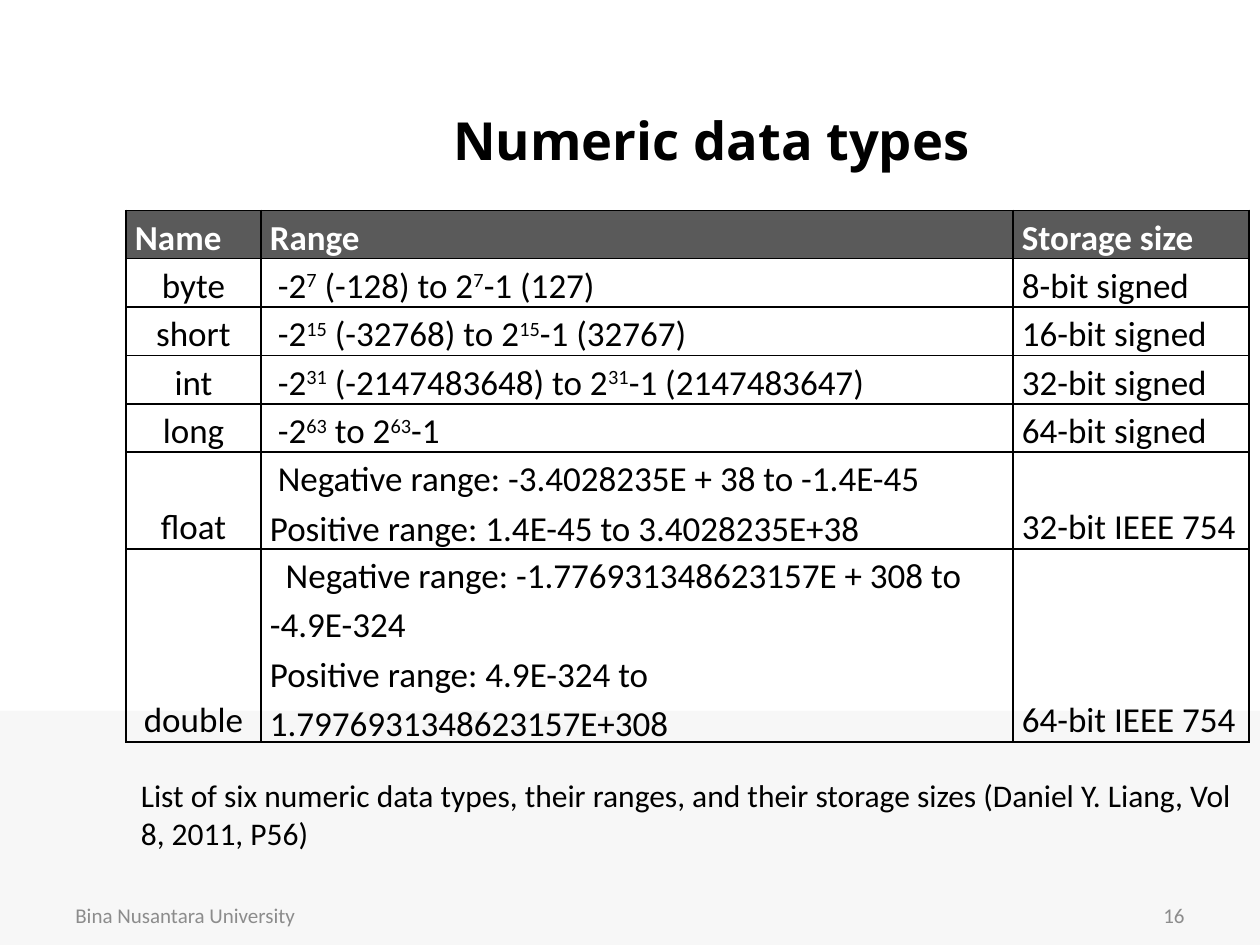
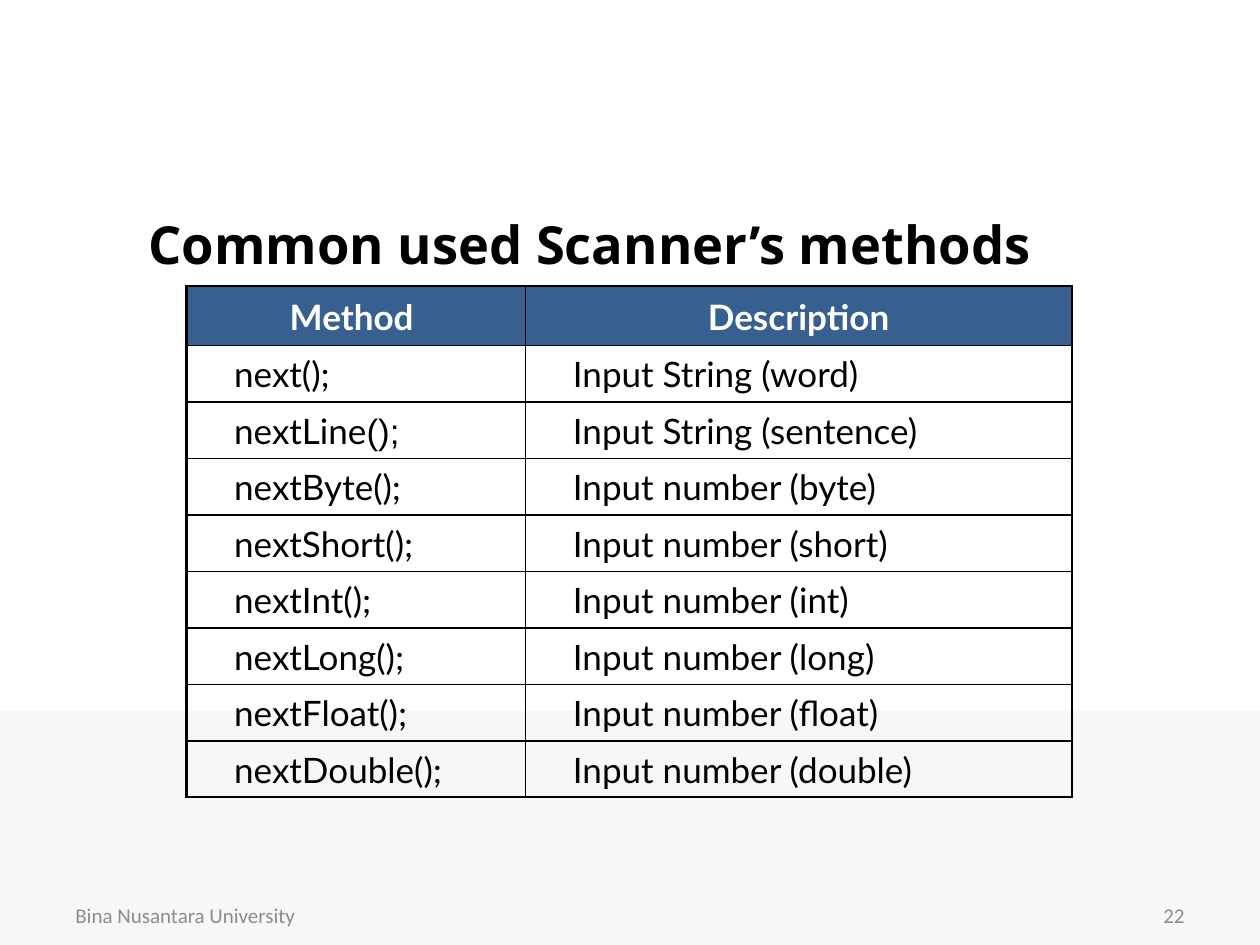
from dataclasses import dataclass

import lxml.etree
import pptx
import pptx.dml.color
import pptx.enum.shapes
import pptx.enum.text
import pptx.oxml.ns
import pptx.util

Cm = pptx.util.Cm
Pt = pptx.util.Pt
Align = pptx.enum.text.PP_ALIGN
Anchor = pptx.enum.text.MSO_ANCHOR
qn = pptx.oxml.ns.qn


@dataclass(frozen=True)
class Theme:
    black: str = "000000"
    white: str = "FFFFFF"
    band: str = "F7F7F7"
    grey: str = "8C8C8C"
    slate: str = "5A5A5A"
    blue: str = "376091"
    head: str = "Open Sans"
    body: str = "Calibri"
    code: str = "Lato"
    title: int = 30
    cell: int = 20
    note: int = 18
    foot: int = 12


THEME = Theme()


def paint(fill, color):
    fill.solid()
    fill.fore_color.rgb = pptx.dml.color.RGBColor.from_string(color)


def write(frame, text, size=THEME.cell, font=THEME.body, color=THEME.black,
          bold=False, align=Align.LEFT, space=1.0, lead=0, alt=None):
    """Pieces between carets are raised, or set in the alt font if one is given."""
    for row, line in enumerate(text.split("\n")):
        para = frame.paragraphs[0] if row == 0 else frame.add_paragraph()
        para.alignment = align
        para.line_spacing = space
        if lead and row == 0:
            para._p.get_or_add_pPr().set("indent", str(Cm(lead)))
        for spot, piece in enumerate(line.split("^")):
            if not piece:
                continue
            run = para.add_run()
            run.text = piece
            marked = spot % 2 == 1
            run.font.size = Pt(size)
            run.font.name = alt if marked and alt else font
            run.font.bold = bold
            run.font.color.rgb = pptx.dml.color.RGBColor.from_string(color)
            if marked and not alt:
                run._r.get_or_add_rPr().set("baseline", "30000")


def rule(cell, widths):
    props = cell._tc.get_or_add_tcPr()
    for side, width in zip("LRTB", widths):
        line = lxml.etree.SubElement(props, qn(f"a:ln{side}"), w=str(Pt(width)))
        fill = lxml.etree.SubElement(line, qn("a:solidFill"))
        lxml.etree.SubElement(fill, qn("a:srgbClr"), val=THEME.black)


class Deck:
    def __init__(self, theme):
        self.theme = theme
        self.file = pptx.Presentation()
        self.file.slide_width = Cm(25.4)
        self.file.slide_height = Cm(19.05)
        self.slide = None

    def page(self, number):
        self.slide = self.file.slides.add_slide(self.file.slide_layouts[6])
        paint(self.slide.background.fill, self.theme.white)
        self.band(0, 14.33, 25.4, 4.72)
        style = dict(size=self.theme.foot, color=self.theme.grey)
        self.text("Bina Nusantara University", 1.27, 17.93, 5.92, 1.02, **style)
        self.text(str(number), 18.21, 17.93, 5.92, 1.02, align=Align.RIGHT, **style)

    def band(self, left, top, width, height):
        shape = self.slide.shapes.add_shape(
            pptx.enum.shapes.MSO_SHAPE.RECTANGLE,
            Cm(left), Cm(top), Cm(width), Cm(height))
        shape.shadow.inherit = False
        shape.line.fill.background()
        paint(shape.fill, self.theme.band)

    def text(self, text, left, top, width, height, anchor=Anchor.MIDDLE, **style):
        box = self.slide.shapes.add_textbox(Cm(left), Cm(top), Cm(width), Cm(height))
        box.text_frame.word_wrap = True
        box.text_frame.vertical_anchor = anchor
        write(box.text_frame, text, **style)

    def title(self, text, left, top):
        self.text(text, left, top, 22.02, 2.21, size=self.theme.title,
                  font=self.theme.head, bold=True)

    def table(self, left, top, cols, rows, edge=1):
        frame = self.slide.shapes.add_table(
            len(rows), len(cols), Cm(left), Cm(top), Cm(sum(cols)), Cm(sum(rows)))
        grid = frame.table
        grid.first_row = grid.horz_banding = False
        for col, width in zip(grid.columns, cols):
            col.width = Cm(width)
        for row, height in zip(grid.rows, rows):
            row.height = Cm(height)
        for r in range(len(rows)):
            for c in range(len(cols)):
                outer = (c == 0, c == len(cols) - 1, r == 0, r == len(rows) - 1)
                rule(grid.cell(r, c), [edge if side else 1 for side in outer])
        return grid

    def cell(self, cell, text, pads, anchor, fill=None, **style):
        (cell.margin_left, cell.margin_top,
         cell.margin_right, cell.margin_bottom) = map(Cm, pads)
        cell.vertical_anchor = anchor
        if fill:
            paint(cell.fill, fill)
            style.update(color=self.theme.white, bold=True)
        else:
            cell.fill.background()
        write(cell.text_frame, text, **style)


TYPES = [
    ("Name", "Range", "Storage size", 0),
    ("byte", "-2^7^ (-128) to 2^7^-1 (127)", "8-bit signed", 0.16),
    ("short", "-2^15^ (-32768) to 2^15^-1 (32767)", "16-bit signed", 0.16),
    ("int", "-2^31^ (-2147483648) to 2^31^-1 (2147483647)", "32-bit signed", 0.16),
    ("long", "-2^63^ to 2^63^-1", "64-bit signed", 0.16),
    ("float", "Negative range: -3.4028235E + 38 to -1.4E-45\n"
     "Positive range: 1.4E-45 to 3.4028235E+38", "32-bit IEEE 754", 0.16),
    ("double", "Negative range: -1.776931348623157E + 308 to -4.9E-324\n"
     "Positive range: 4.9E-324 to 1.7976931348623157E+308", "64-bit IEEE 754", 0.32),
]

CALLS = [
    ("Method ", "Description"),
    ("next();", "Input String (word)"),
    ("nextLine^();^", "Input String (sentence)"),
] + [(f"next{kind.title()}();", f"Input number ({kind})")
     for kind in ("byte", "short", "int", "long", "float", "double")]


def types(deck):
    deck.page(16)
    deck.title("Numeric data types", 8.89, 1.7)
    deck.text("List of six numeric data types, their ranges, and their storage sizes "
              "(Daniel Y. Liang, Vol 8, 2011, P56)", 2.59, 15.52, 22.81, 0.76,
              anchor=Anchor.TOP, size=deck.theme.note)
    grid = deck.table(2.54, 4.24, [2.72, 15.16, 4.76], [0.89] * 5 + [1.78, 2.67])
    for r, (*row, lead) in enumerate(TYPES):
        for c, text in enumerate(row):
            deck.cell(grid.cell(r, c), text, (0.18, 0, 0.18, 0), Anchor.BOTTOM,
                      fill=None if r else deck.theme.slate, space=1.15,
                      align=Align.CENTER if r and c == 0 else Align.LEFT,
                      lead=lead if c == 1 else 0)


def calls(deck):
    deck.page(22)
    deck.title("Common used Scanner’s methods", 2.74, 3.81)
    grid = deck.table(3.76, 5.77, [6.83, 11.02], [1.19] + [1.14] * 8, edge=1.5)
    for r, row in enumerate(CALLS):
        for c, text in enumerate(row):
            deck.cell(grid.cell(r, c), text, (0.96 if r else 0.03, 0.03, 0.03, 0),
                      Anchor.MIDDLE, fill=None if r else deck.theme.blue,
                      font=deck.theme.code, alt="Arial",
                      align=Align.LEFT if r else Align.CENTER)


def main():
    deck = Deck(THEME)
    types(deck)
    calls(deck)
    deck.file.save("out.pptx")


if __name__ == "__main__":
    main()
